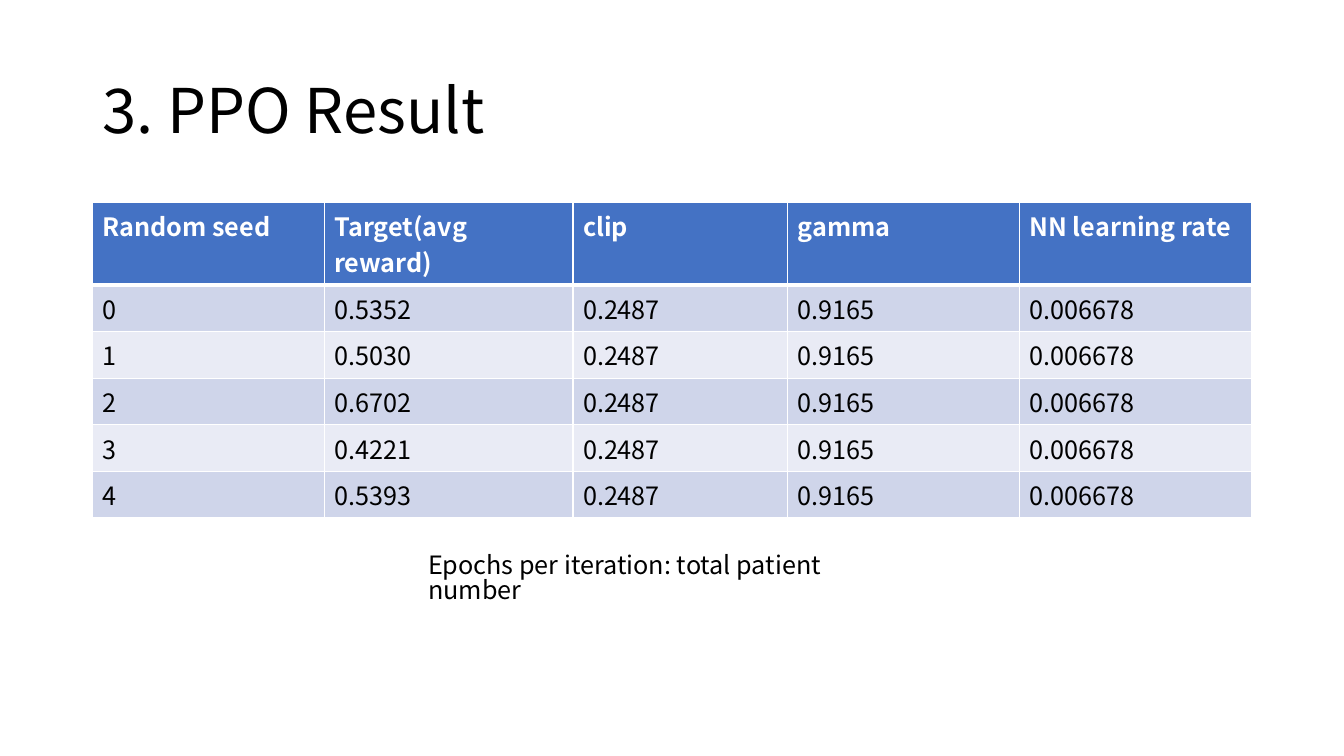
from lxml.etree import SubElement
from pptx import Presentation
from pptx.dml.color import RGBColor
from pptx.enum.text import MSO_ANCHOR, MSO_AUTO_SIZE
from pptx.oxml.ns import qn
from pptx.util import Cm, Pt

BLACK = RGBColor(0x00, 0x00, 0x00)
WHITE = RGBColor(0xFF, 0xFF, 0xFF)
BLUE = RGBColor(0x44, 0x72, 0xC4)
BANDS = (RGBColor(0xCF, 0xD5, 0xEA), RGBColor(0xE9, 0xEB, 0xF5))
FONT = "Noto Sans CJK KR"

HEADS = ["Random seed", "Target(avg reward)", "clip", "gamma", "NN learning rate"]
TARGETS = ["0.5352", "0.5030", "0.6702", "0.4221", "0.5393"]
SHARED = ["0.2487", "0.9165", "0.006678"]
WIDTHS = [5.84, 6.27, 5.41, 5.84, 5.84]
ROW = 1.03


def write(frame, text, size=18, color=BLACK, bold=False, spacing=None):
    para = frame.paragraphs[0]
    para.line_spacing = spacing
    run = para.add_run()
    run.text = text
    font = run.font
    font.name, font.size, font.bold = FONT, Pt(size), bold
    font.color.rgb = color
    # East Asian typeface, so that every script uses the same font
    SubElement(font._element, qn("a:ea"), typeface=FONT)


def edge(cell, side, width):
    """Draw one white border; side is L, R, T or B."""
    line = SubElement(cell._tc.get_or_add_tcPr(), qn("a:ln" + side), w=str(Pt(width)))
    fill = SubElement(line, qn("a:solidFill"))
    SubElement(fill, qn("a:srgbClr"), val=str(WHITE))


class Deck:
    def __init__(self):
        self.show = Presentation()
        self.show.slide_width, self.show.slide_height = Cm(33.87), Cm(19.05)
        self.slide = self.show.slides.add_slide(self.show.slide_layouts[6])

    def text(self, box, text, anchor=MSO_ANCHOR.TOP, fit=MSO_AUTO_SIZE.NONE, **style):
        frame = self.slide.shapes.add_textbox(*map(Cm, box)).text_frame
        frame.word_wrap = True
        frame.auto_size = fit
        frame.vertical_anchor = anchor
        write(frame, text, **style)

    def table(self, left, top, rows):
        table = self.slide.shapes.add_table(
            len(rows), len(WIDTHS), Cm(left), Cm(top),
            Cm(sum(WIDTHS)), Cm(ROW * len(rows))).table
        for col, width in zip(table.columns, WIDTHS):
            col.width = Cm(width)
        for i, row in enumerate(rows):
            table.rows[i].height = Cm(ROW)
            for j, value in enumerate(row):
                self.cell(table.cell(i, j), value, i)

    def cell(self, cell, value, row):
        head = row == 0
        for side in "LRTB":
            thick = (head and side == "B") or (row == 1 and side == "T")
            edge(cell, side, 3 if thick else 1)
        cell.fill.solid()
        cell.fill.fore_color.rgb = BLUE if head else BANDS[(row - 1) % 2]
        write(cell.text_frame, value, color=WHITE if head else BLACK, bold=head)


def main():
    deck = Deck()
    deck.text((2.33, 1.01, 30.43, 3.68), "3. PPO Result",
              anchor=MSO_ANCHOR.MIDDLE, size=44, spacing=0.9)
    rows = [[str(seed), target] + SHARED for seed, target in enumerate(TARGETS)]
    deck.table(2.33, 5.09, [HEADS] + rows)
    deck.text((10.54, 13.84, 12.78, 1.02), "Epochs per iteration: total patient number",
              fit=MSO_AUTO_SIZE.SHAPE_TO_FIT_TEXT, spacing=0.83)
    deck.show.save("out.pptx")


if __name__ == "__main__":
    main()
